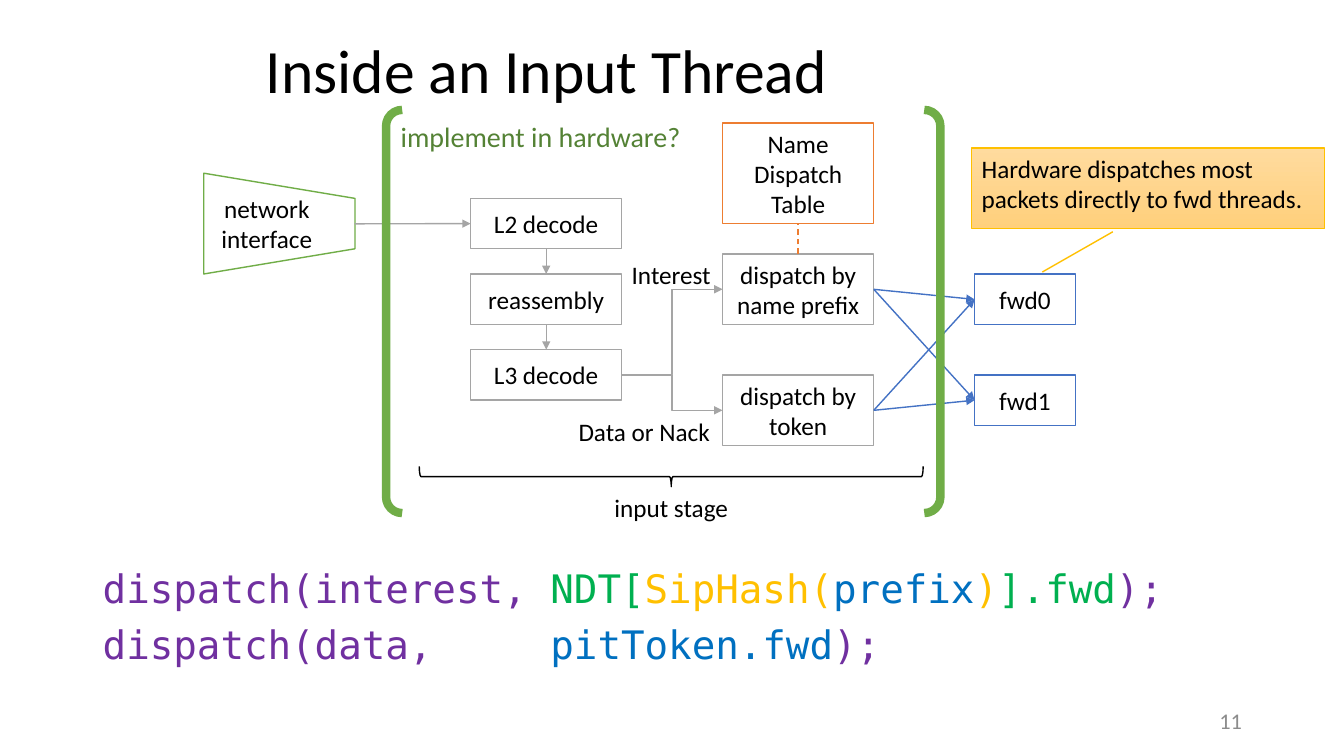
"""Builds the slide "Inside an Input Thread" with its packet flow diagram."""
from pptx import Presentation
from pptx.dml.color import RGBColor
from pptx.enum import dml, shapes, text
from pptx.oxml.ns import qn
from pptx.util import Cm, Pt

BLACK = RGBColor(0x00, 0x00, 0x00)
WHITE = RGBColor(0xFF, 0xFF, 0xFF)
GRAY = RGBColor(0xA5, 0xA5, 0xA5)
PAGE_GRAY = RGBColor(0x8C, 0x8C, 0x8C)
ORANGE = RGBColor(0xED, 0x7D, 0x31)
BLUE = RGBColor(0x44, 0x72, 0xC4)
GREEN = RGBColor(0x70, 0xAD, 0x47)
DARK_GREEN = RGBColor(0x54, 0x82, 0x35)
GOLD = RGBColor(0xFF, 0xC0, 0x00)
CALLOUT_TOP = RGBColor(0xFF, 0xDB, 0x9E)
CALLOUT_BOTTOM = RGBColor(0xFF, 0xD0, 0x7C)
CODE_PURPLE = RGBColor(0x70, 0x30, 0xA0)
CODE_GREEN = RGBColor(0x00, 0xB0, 0x50)
CODE_BLUE = RGBColor(0x00, 0x70, 0xC0)

SHAPE = shapes.MSO_SHAPE
STRAIGHT = shapes.MSO_CONNECTOR.STRAIGHT
ELBOW = shapes.MSO_CONNECTOR.ELBOW
LEFT, CENTER, RIGHT = text.PP_ALIGN.LEFT, text.PP_ALIGN.CENTER, text.PP_ALIGN.RIGHT
TOP, MIDDLE = text.MSO_ANCHOR.TOP, text.MSO_ANCHOR.MIDDLE

deck = Presentation()
deck.slide_width, deck.slide_height = Cm(33.87), Cm(19.05)
page = deck.slides.add_slide(deck.slide_layouts[6])


def add_box(kind, place, words, line=None, width=1, size=18, color=BLACK,
            align=CENTER, anchor=MIDDLE, wrap=True):
    """Adds a shape, or a text box if kind is None, with one paragraph."""
    place = [Cm(length) for length in place]
    if kind is None:
        box = page.shapes.add_textbox(*place)
    else:
        box = page.shapes.add_shape(kind, *place)
        box.shadow.inherit = False
        box.fill.solid()
        box.fill.fore_color.rgb = WHITE
        box.line.color.rgb = line
        box.line.width = Pt(width)
    frame = box.text_frame
    frame.word_wrap = wrap
    frame.vertical_anchor = anchor
    para = frame.paragraphs[0]
    para.text = words
    para.alignment = align
    para.font.name = "Calibri"
    para.font.size = Pt(size)
    para.font.color.rgb = color
    return box


def join(start, start_side, end, end_side, color=GRAY, kind=STRAIGHT, arrow=True):
    """Links two boxes; a start given as a point stays unattached."""
    link = page.shapes.add_connector(kind, 0, 0, 0, 0)
    if isinstance(start, tuple):
        link.begin_x, link.begin_y = [Cm(length) for length in start]
    else:
        link.begin_connect(start, start_side)
    link.end_connect(end, end_side)
    link.line.color.rgb = color
    link.line.width = Pt(1)
    if arrow:
        outline = link.line._get_or_add_ln()
        outline.append(outline.makeelement(qn("a:tailEnd"), {"type": "triangle"}))
    properties = link._element.spPr
    properties.append(properties.makeelement(qn("a:effectLst"), {}))
    return link


add_box(None, (6.45, 0.38, 25.1, 2.72), "Inside an Input Thread", size=44, align=LEFT)
add_box(None, (23.93, 17.65, 7.62, 1.02), "11", size=16, color=PAGE_GRAY, align=RIGHT)

code_lines = [
    [("dispatch(interest, ", CODE_PURPLE), ("NDT[", CODE_GREEN), ("SipHash(", GOLD),
     ("prefix", CODE_BLUE), (")", GOLD), ("].fwd", CODE_GREEN), (");", CODE_PURPLE)],
    [("dispatch(data,     ", CODE_PURPLE), ("pitToken.fwd", CODE_BLUE),
     (");", CODE_PURPLE)],
]
code = page.shapes.add_textbox(Cm(2.34), Cm(14.22), Cm(29.21), Cm(2.92)).text_frame
code.word_wrap = True
for number, spans in enumerate(code_lines):
    para = code.add_paragraph() if number else code.paragraphs[0]
    para.line_spacing = 0.9
    if number:
        para.space_before = Pt(10)
    para.font.name = "DejaVu Sans Mono"
    para.font.size = Pt(28)
    for words, color in spans:
        span = para.add_run()
        span.text = words
        span.font.color.rgb = color

decode_left, dispatch_left, forward_left = [11.86 + 6.35 * column for column in range(3)]
decoders = [
    add_box(SHAPE.RECTANGLE, (decode_left, 5 + 1.905 * row, 3.81, 1.27), words, GRAY)
    for row, words in enumerate(["L2 decode", "reassembly", "L3 decode"])
]
table = add_box(SHAPE.RECTANGLE, (dispatch_left, 3.1, 3.81, 2.54),
                "Name Dispatch Table", ORANGE)
dispatchers = [
    add_box(SHAPE.RECTANGLE, (dispatch_left, top, 3.81, 1.78), words, GRAY)
    for top, words in [(6.4, "dispatch by name prefix"), (9.45, "dispatch by token")]
]
forwarders = [
    add_box(SHAPE.RECTANGLE, (forward_left, 6.91 + 2.54 * row, 2.54, 1.27),
            f"fwd{row}", BLUE)
    for row in range(2)
]

for upper, lower in zip(decoders, decoders[1:]):
    join(upper, 2, lower, 0)
for dispatcher in dispatchers:
    join(decoders[-1], 3, dispatcher, 1, kind=ELBOW)
    for forwarder in forwarders:
        join(dispatcher, 3, forwarder, 1, BLUE)
lookup = join(dispatchers[0], 0, table, 2, ORANGE, arrow=False)
lookup.line.dash_style = dml.MSO_LINE.DASH

for place, words in [((15.67, 6.4, 2.51, 1.02), "Interest"),
                     ((14.33, 10.36, 3.86, 1.02), "Data or Nack")]:
    add_box(None, place, words, align=LEFT, anchor=TOP, wrap=False)

interface = add_box(SHAPE.TRAPEZOID, (5.77, 3.73, 2.54, 3.81), "network interface", GREEN)
join((8.94, 5.64), None, decoders[0], 1)
brace = add_box(SHAPE.RIGHT_BRACE, (16.66, 5.66, 0.51, 12.7), "input stage", BLACK,
                wrap=False)
brace.fill.background()
brace.text_frame.margin_left = Cm(2.03)
for turned in (interface, brace):
    turned.rotation = 90
    turned.text_frame._txBody.bodyPr.set("vert", "vert270")

callout = add_box(SHAPE.LINE_CALLOUT_1, (24.49, 3.73, 8.89, 2.03),
                  "Hardware dispatches most packets directly to fwd threads.",
                  GOLD, align=LEFT, anchor=TOP)
for index, value in enumerate([1.04, 0.4, 1.54, 0.2]):
    callout.adjustments[index] = value
callout.fill.gradient()
callout.fill.gradient_angle = 270
for stop, color in zip(callout.fill.gradient_stops, [CALLOUT_TOP, CALLOUT_BOTTOM]):
    stop.color.rgb = color

bracket = add_box(SHAPE.DOUBLE_BRACKET, (9.73, 2.77, 13.97, 10.16),
                  "implement in hardware?", GREEN, width=6, size=20,
                  color=DARK_GREEN, align=LEFT, anchor=TOP)
bracket.adjustments[0] = 0.04
bracket.fill.background()

deck.save("out.pptx")
